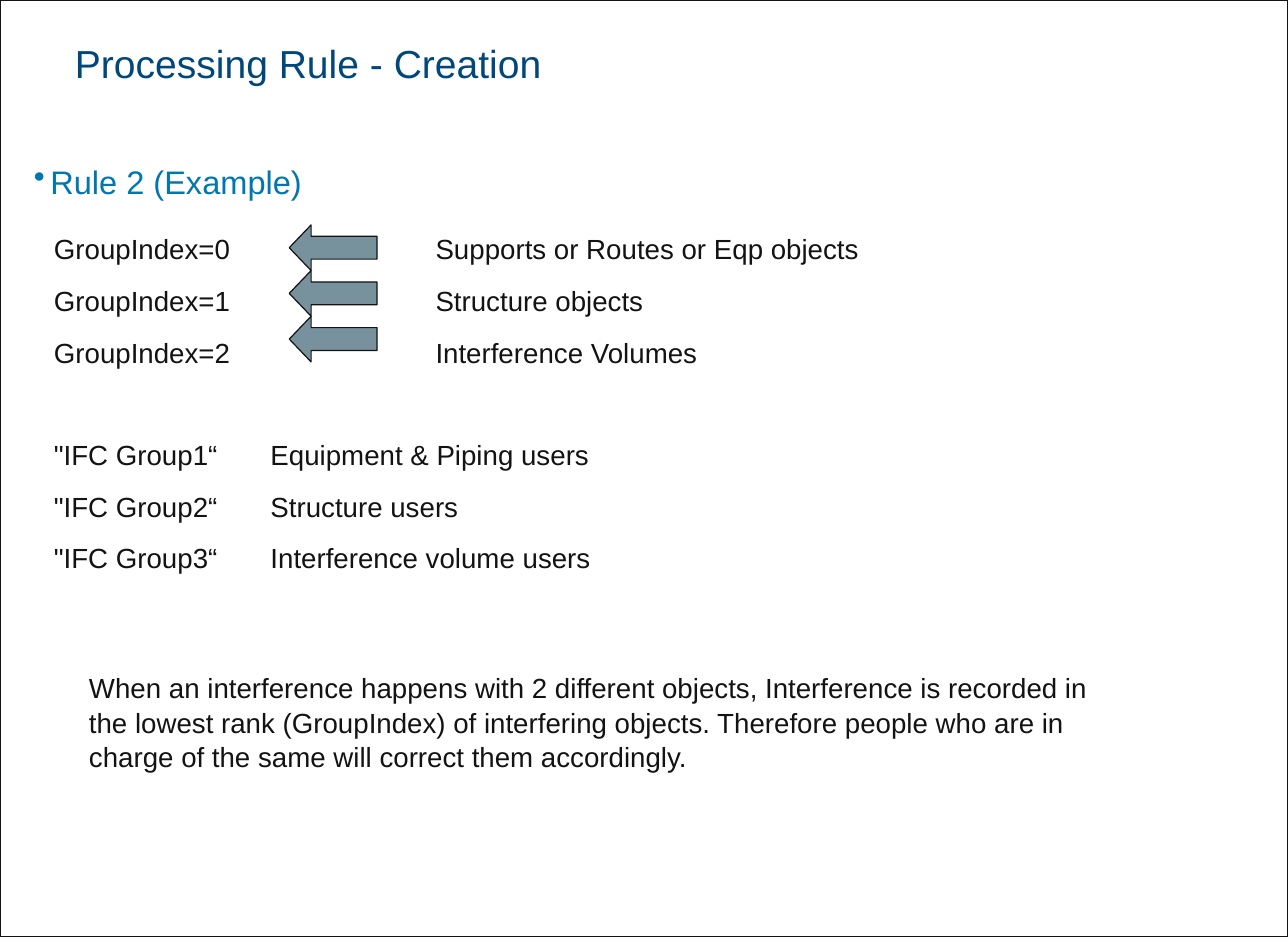
from lxml.etree import SubElement
from pptx import Presentation
from pptx.dml.color import RGBColor
from pptx.enum.shapes import MSO_SHAPE as Shape
from pptx.enum.text import MSO_ANCHOR as Anchor
from pptx.oxml.ns import qn
from pptx.util import Pt

PX = 9144  # 100 px to the inch
INK = RGBColor(0x13, 0x13, 0x13)
NAVY = RGBColor(0x00, 0x47, 0x7B)
BLUE = RGBColor(0x00, 0x77, 0xB0)
STEEL = RGBColor(0x77, 0x91, 0x9D)
WHITE = RGBColor(0xFF, 0xFF, 0xFF)


def add_text(box, lines, size, color, inset=(0, 0), line_spacing=None):
    """Add a text box with one paragraph per line and return its text frame."""
    frame = slide.shapes.add_textbox(*(n * PX for n in box)).text_frame
    frame.word_wrap = True
    frame.margin_left = frame.margin_right = inset[0] * PX
    frame.margin_top = frame.margin_bottom = inset[1] * PX
    frame.text = "\n".join(lines)
    for paragraph in frame.paragraphs:
        paragraph.line_spacing = line_spacing
        for run in paragraph.runs:
            run.font.name = "Arial"
            run.font.size = Pt(size)
            run.font.color.rgb = color
    return frame


def add_outlined(preset, box, fill):
    shape = slide.shapes.add_shape(preset, *(n * PX for n in box))
    shape.shadow.inherit = False
    shape.fill.solid()
    shape.fill.fore_color.rgb = fill
    shape.line.color.rgb = INK
    shape.line.width = Pt(0.75)
    return shape


presentation = Presentation()
presentation.slide_width = 1100 * PX
presentation.slide_height = 800 * PX
slide = presentation.slides.add_slide(presentation.slide_layouts[6])

add_outlined(Shape.RECTANGLE, (0, 0, 1100, 800), WHITE)

title = add_text((64, 14, 667, 79), ["Processing Rule - Creation"], 24, NAVY)
title.vertical_anchor = Anchor.MIDDLE

add_text((76, 572, 864, 150), [
    "When an interference happens with 2 different objects, Interference is "
    "recorded in the lowest rank (GroupIndex) of interfering objects. Therefore "
    "people who are in charge of the same will correct them accordingly.",
], 17, INK, line_spacing=1.04)

# Each group: tab stop in px, then its rows
groups = [
    (326, ["GroupIndex=0\tSupports or Routes or Eqp objects",
           "GroupIndex=1\tStructure objects",
           "GroupIndex=2\tInterference Volumes"]),
    (185, ['"IFC Group1“\tEquipment & Piping users',
           '"IFC Group2“\tStructure users',
           '"IFC Group3“\tInterference volume users']),
]
rows = [row for _, group_rows in groups for row in group_rows]
rule_list = add_text((35, 192, 981, 341), rows, 17, INK, (11, 5), 1.04)
paragraphs = iter(rule_list.paragraphs)
for group_index, (tab, group_rows) in enumerate(groups):
    for row_index, _ in enumerate(group_rows):
        paragraph = next(paragraphs)
        tab_list = SubElement(paragraph._p.get_or_add_pPr(), qn("a:tabLst"))
        SubElement(tab_list, qn("a:tab"), pos=str(tab * PX), algn="l")
        if row_index:
            paragraph.space_before = Pt(10.6)
        elif group_index:
            paragraph.space_before = Pt(41.6)

heading = add_text((18, 133, 251, 44), ["Rule 2 (Example)"], 20, BLUE, (11, 5))
heading.word_wrap = False
properties = heading.paragraphs[0]._p.get_or_add_pPr()
properties.set("marL", str(14 * PX))
properties.set("indent", str(-14 * PX))
SubElement(properties, qn("a:buChar"), char="•")

for row in range(3):
    arrow = add_outlined(Shape.LEFT_ARROW, (247, 192 + 39 * row, 75, 39), STEEL)
    arrow.adjustments[1] = 0.48

presentation.save("out.pptx")
